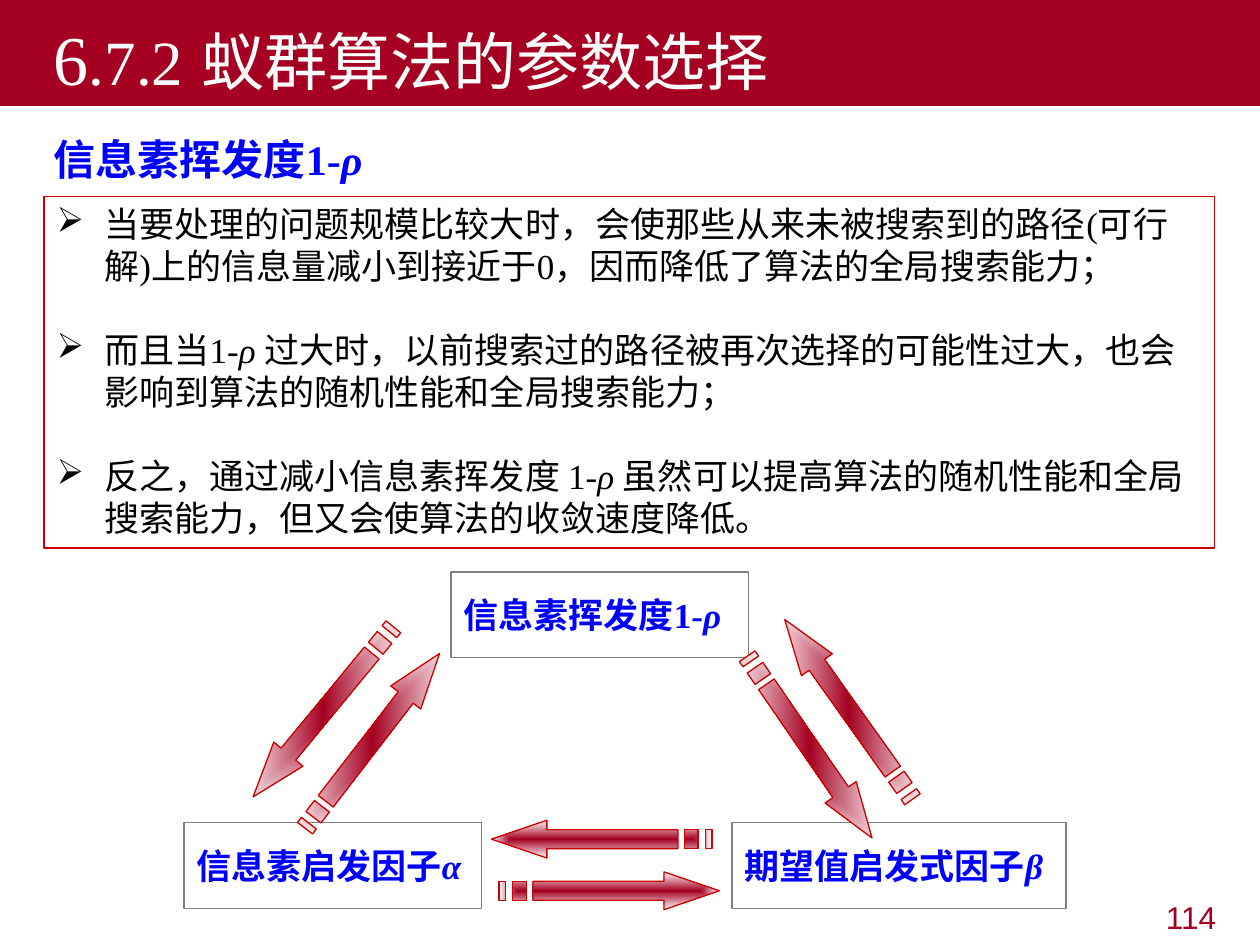
from lxml import etree
from pptx import Presentation
from pptx.dml.color import RGBColor
from pptx.enum.shapes import MSO_SHAPE
from pptx.enum.text import MSO_ANCHOR, PP_ALIGN
from pptx.oxml.ns import qn
from pptx.util import Inches, Pt

RECT = MSO_SHAPE.RECTANGLE
TOP, MID, LOW = MSO_ANCHOR.TOP, MSO_ANCHOR.MIDDLE, MSO_ANCHOR.BOTTOM
LEFT, RIGHT = PP_ALIGN.LEFT, PP_ALIGN.RIGHT
SERIF, SANS = "Times New Roman", "Arial"
RED, EDGE, BLUE = "A50021", "CC0000", "0000FF"
WHITE, GREY, BLACK = "FFFFFF", "808080", "000000"
ITALIC = {"italic": True}
PLAIN = {"face": SANS}

POINTS = [
    [("当要处理的问题规模比较大时，会使那些从来未被搜索到的路径(可行解)上的信息量减小到接近于0，"
      "因而降低了算法的全局搜索能力；", {})],
    [("而且当", PLAIN), ("1-", {}), ("ρ ", ITALIC),
     ("过大时，以前搜索过的路径被再次选择的可能性过大，也会影响到算法的随机性能和全局搜索能力；", PLAIN)],
    [("反之，通过减小信息素挥发度 ", PLAIN), ("1-", {}), ("ρ ", ITALIC),
     ("虽然可以提高算法的随机性能和全局搜索能力，但又会使算法的收敛速度降低。", PLAIN)],
]
FACTORS = [
    ("信息素启发因子", "α", 1.46, 6.53, 2.36),
    ("期望值启发式因子", "β", 5.81, 6.53, 2.65),
    ("信息素挥发度1-", "ρ", 3.58, 4.54, 2.36),
]
ARROWS = [
    (3.96, 6.92, 0), (3.9, 6.51, 180), (2.08, 5.73, 307.6),
    (1.69, 5.5, 129.5), (5.86, 5.48, 234.6), (5.55, 5.78, 55.5),
]


def color(code):
    return RGBColor.from_string(code)


def write(shape, paras, size=20, face=SERIF, tint=BLACK, bold=False, align=LEFT,
          anchor=TOP, wrap=True, gap=0, margin=0, indent=0, bullet=None, tab=None):
    frame = shape.text_frame
    frame.word_wrap = wrap
    frame.vertical_anchor = anchor
    for num, runs in enumerate(paras):
        para = frame.add_paragraph() if num else frame.paragraphs[0]
        para.alignment = align
        if num and gap:
            para.space_before = Pt(gap)
        props = para._p.get_or_add_pPr()
        props.set("marL", str(Inches(margin)))
        props.set("indent", str(Inches(indent)))
        if bullet:
            etree.SubElement(props, qn("a:buChar"), char=bullet)
        if tab:
            stops = etree.SubElement(props, qn("a:tabLst"))
            etree.SubElement(stops, qn("a:tab"), pos=str(Inches(tab)), algn="l")
        for text, style in runs:
            run = para.add_run()
            run.text = text
            font = run.font
            font.name = style.get("face", face)
            font.size = Pt(style.get("size", size))
            font.bold = bold
            font.italic = style.get("italic", False)
            font.color.rgb = color(tint)


def add_text(slide, x, y, w, h, paras, **form):
    box = slide.shapes.add_textbox(Inches(x), Inches(y), Inches(w), Inches(h))
    write(box, paras, **form)


def add_box(slide, x, y, w, h, fill, edge, paras, **form):
    box = slide.shapes.add_shape(RECT, Inches(x), Inches(y), Inches(w), Inches(h))
    box.shadow.inherit = False
    box.fill.solid()
    box.fill.fore_color.rgb = color(fill)
    if edge:
        box.line.color.rgb = color(edge)
        box.line.width = Pt(0.75)
    else:
        box.line.fill.background()
    write(box, paras, **form)


def shade(shape):
    shape.fill.gradient()
    for stop, code in zip(shape.fill.gradient_stops, (RED, WHITE)):
        stop.color.rgb = color(code)
    for stop, place in zip(shape.fill.gradient_stops, (0, 1)):
        stop.position = place
    grad = shape._element.spPr.find(qn("a:gradFill"))
    grad.set("rotWithShape", "1")
    grad.remove(grad.find(qn("a:lin")))
    route = etree.SubElement(grad, qn("a:path"), path="rect")
    half = dict.fromkeys("ltrb", "50000")
    etree.SubElement(route, qn("a:fillToRect"), **half)


def add_arrow(slide, x, y, angle):
    head = [(131, 0), (131, 7.5), (27, 7.5), (27, 22.5), (131, 22.5), (131, 30), (175, 15)]
    bars = [[(a, 7.5), (a, 22.5), (b, 22.5), (b, 7.5)] for a, b in ((11, 22), (0, 5))]
    unit = 10
    pen = slide.shapes.build_freeform(131 * unit, 0, scale=Inches(0.01) / unit)
    for num, part in enumerate([head] + bars):
        dots = [(a * unit, b * unit) for a, b in part]
        if num:
            pen.move_to(*dots[0])
        pen.add_line_segments(dots[1:], close=True)
    arrow = pen.convert_to_shape(Inches(x), Inches(y))
    arrow.shadow.inherit = False
    arrow.rotation = angle
    shade(arrow)
    arrow.line.color.rgb = color(EDGE)
    arrow.line.width = Pt(0.75)


def main():
    deck = Presentation()
    deck.slide_width, deck.slide_height = Inches(10), Inches(7.5)
    slide = deck.slides.add_slide(deck.slide_layouts[6])
    add_text(slide, 7.58, 7.08, 2.17, 0.39, [[("114", {})]],
             size=18, face=SANS, tint=RED, align=RIGHT)
    add_text(slide, 0.33, 1.01, 9.33, 0.51, [[("信息素挥发度1-", {}), ("ρ", ITALIC)]],
             size=24, tint=BLUE, bold=True)
    add_box(slide, 0, 0, 10, 0.84, RED, None,
            [[("6", {"size": 40}), (".7.2\t蚁群算法的参数选择", {})]],
            size=36, tint=WHITE, anchor=LOW, indent=0.33, tab=1.72)
    add_box(slide, 0.35, 1.56, 9.29, 2.79, WHITE, EDGE, POINTS,
            gap=24, margin=0.38, indent=-0.38, bullet="➢")
    for name, sign, x, y, w in FACTORS:
        add_box(slide, x, y, w, 0.68, WHITE, GREY, [[(name, {}), (sign, ITALIC)]],
                tint=BLUE, bold=True, anchor=MID, wrap=False)
    for x, y, angle in ARROWS:
        add_arrow(slide, x, y, angle)
    deck.save("out.pptx")


if __name__ == "__main__":
    main()
